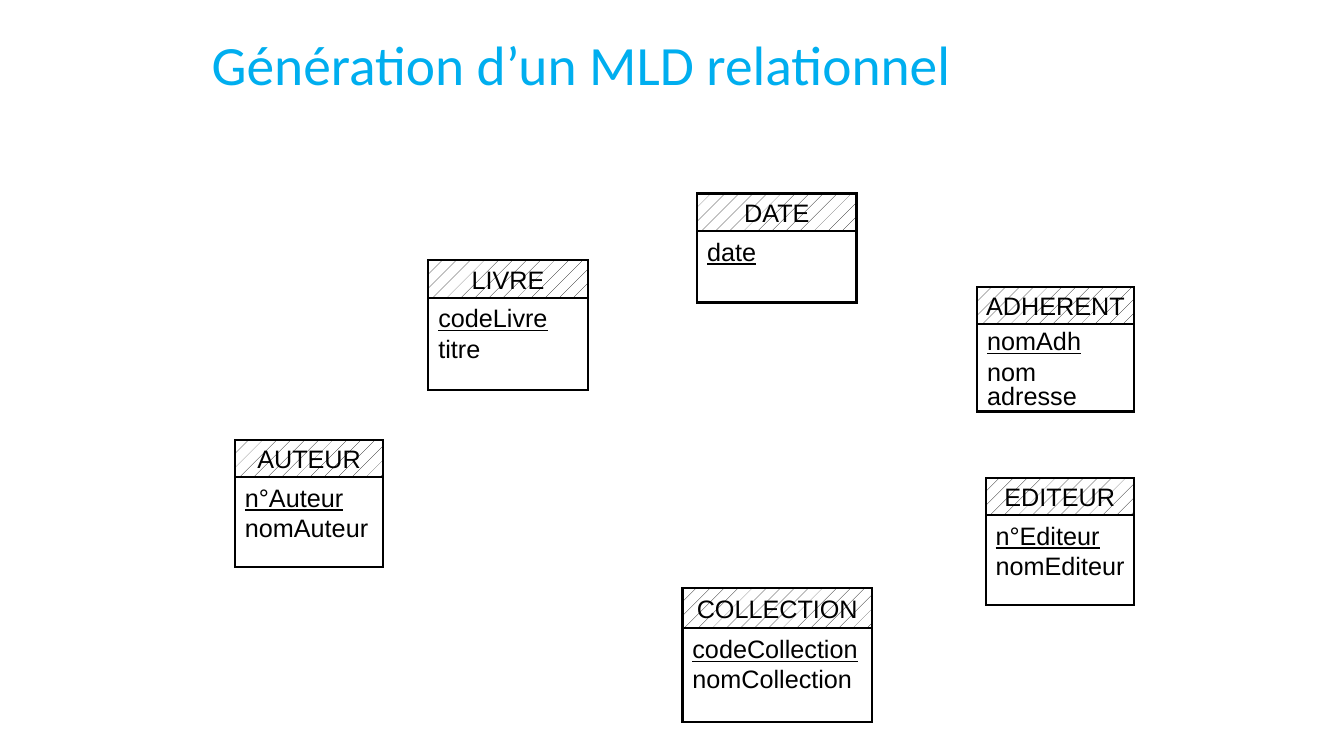
from lxml import etree
from pptx import Presentation
from pptx.dml.color import RGBColor
from pptx.enum.dml import MSO_PATTERN, MSO_THEME_COLOR
from pptx.enum.shapes import MSO_SHAPE
from pptx.enum.text import MSO_ANCHOR, MSO_AUTO_SIZE, PP_ALIGN
from pptx.oxml.ns import qn
from pptx.util import Pt

RECTANGLE = MSO_SHAPE.RECTANGLE
DOTTED = MSO_PATTERN.PERCENT_5
TEXT_COLOR = MSO_THEME_COLOR.TEXT_1
TOP, MIDDLE = MSO_ANCHOR.TOP, MSO_ANCHOR.MIDDLE
LEFT, CENTER = PP_ALIGN.LEFT, PP_ALIGN.CENTER
NO_AUTOFIT = MSO_AUTO_SIZE.NONE

COLORS = {"title": "00AEEF", "ink": "000000", "paper": "FFFFFF"}

ENTITIES = [
    ("ADHERENT", (698.1, 205.3, 111.8), (26.1, 62.6),
     [("nomAdh", 0.9), ("nom", 1.0), ("adresse", 0.8)]),
    ("AUTEUR", (167.9, 314.2, 105.8), (26.6, 64.1),
     [("n°Auteur", 1.0), ("nomAuteur", 1.0)]),
    ("LIVRE", (306, 186, 113.8), (26.7, 66.2),
     [("codeLivre", 1.0), ("titre", 1.0)]),
    ("COLLECTION", (487.5, 420, 135.4), (28.8, 67),
     [("codeCollection", 1.0), ("nomCollection", 1.0)]),
    ("DATE", (498, 138.2, 113.8), (26.8, 51.1),
     [("date", 1.0)]),
    ("EDITEUR", (704.1, 341.3, 105.8), (26.6, 64.1),
     [("n°Editeur", 1.0), ("nomEditeur", 1.0)]),
]


def color(name):
    return RGBColor.from_string(COLORS[name])


def add_span(para, text, size, font, underline=False):
    span = para.add_run()
    span.text = text
    span.font.size = Pt(size)
    span.font.name = font
    span.font.color.theme_color = TEXT_COLOR
    if underline:
        span.font.underline = True
    return span


def format_title(page, text):
    title = page.shapes.title
    title.left, title.top = Pt(144), Pt(24)
    title.width, title.height = Pt(672), Pt(48)
    frame = title.text_frame
    frame.auto_size = NO_AUTOFIT
    frame.vertical_anchor = MIDDLE
    para = frame.paragraphs[0]
    para.alignment = LEFT
    para.line_spacing = 0.9
    span = add_span(para, text, 39.6, "Calibri")
    span.font.color.rgb = color("title")


def add_box(group, left, top, width, height, anchor):
    box = group.shapes.add_shape(RECTANGLE, Pt(left), Pt(top), Pt(width), Pt(height))
    box.shadow.inherit = False
    box.fill.background()
    box.line.color.rgb = color("ink")
    box.line.width = Pt(1.5)
    outline = box.element.spPr.find(qn("a:ln"))
    etree.SubElement(outline, qn("a:miter"), lim="800000")
    frame = box.text_frame
    frame.word_wrap = False
    frame.vertical_anchor = anchor
    frame.margin_left = frame.margin_right = Pt(7.2)
    frame.margin_top = frame.margin_bottom = Pt(3.6)
    return box


def add_entity(page, name, place, heights, attributes):
    left, top, width = place
    header_height, body_height = heights
    group = page.shapes.add_group_shape()

    header = add_box(group, left, top, width, header_height, MIDDLE)
    header.fill.patterned()
    header.fill.pattern = DOTTED
    header.fill.fore_color.rgb = color("ink")
    header.fill.back_color.rgb = color("paper")
    para = header.text_frame.paragraphs[0]
    para.alignment = CENTER
    add_span(para, name, 18, "Arial")

    body = add_box(group, left, top + header_height, width, body_height, TOP)
    frame = body.text_frame
    for index, (attribute, spacing) in enumerate(attributes):
        para = frame.add_paragraph() if index else frame.paragraphs[0]
        para.alignment = LEFT
        para.line_spacing = spacing
        add_span(para, attribute, 18, "Arial", underline=index == 0)


def main():
    deck = Presentation()
    deck.slide_width, deck.slide_height = Pt(960), Pt(540)
    page = deck.slides.add_slide(deck.slide_layouts[5])
    format_title(page, "Génération d’un MLD relationnel")
    for entity in ENTITIES:
        add_entity(page, *entity)
    deck.save("out.pptx")


main()
